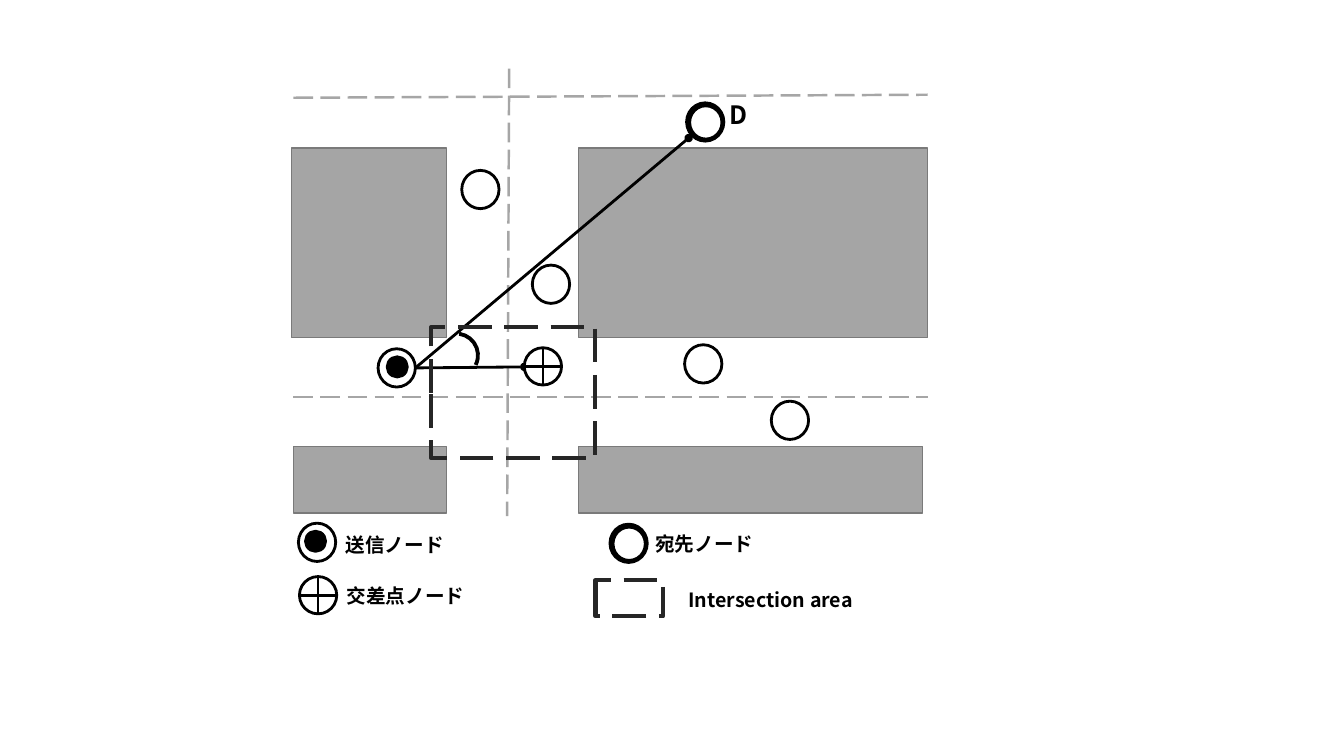
from lxml import etree
from pptx import Presentation
from pptx.dml.color import RGBColor
from pptx.enum.dml import MSO_LINE
from pptx.enum.shapes import MSO_CONNECTOR, MSO_SHAPE
from pptx.enum.text import MSO_AUTO_SIZE
from pptx.oxml.ns import qn
from pptx.util import Inches, Pt

RECT, OVAL = MSO_SHAPE.RECTANGLE, MSO_SHAPE.OVAL
CROSS, ARC = MSO_SHAPE.FLOWCHART_OR, MSO_SHAPE.ARC
STRAIGHT, LONG_DASH = MSO_CONNECTOR.STRAIGHT, MSO_LINE.LONG_DASH
FIT_TEXT = MSO_AUTO_SIZE.SHAPE_TO_FIT_TEXT
FONT = "Noto Sans CJK JP"
BLACK, WHITE = "000000", "FFFFFF"
NODE = 0.37

prs = Presentation()
prs.slide_width, prs.slide_height = Inches(13.33), Inches(7.5)
slide = prs.slides.add_slide(prs.slide_layouts[6])


def rgb(color):
    return RGBColor.from_string(color)


def draw(kind, x, y, w, h, fill=WHITE, line=BLACK, weight=2):
    shape = slide.shapes.add_shape(kind, Inches(x), Inches(y), Inches(w), Inches(h))
    shape.shadow.inherit = False
    if fill:
        shape.fill.solid()
        shape.fill.fore_color.rgb = rgb(fill)
    else:
        shape.fill.background()
    shape.line.color.rgb = rgb(line)
    shape.line.width = Pt(weight)
    return shape


# City blocks
for x, y, w, h in [(5.74, 1.47, 3.46, 1.88), (2.89, 1.47, 1.54, 1.88),
                   (5.74, 4.43, 3.41, 0.66), (2.91, 4.43, 1.52, 0.66)]:
    draw(RECT, x, y, w, h, "A5A5A5", "7A7A7A", 1)

# Dashed road centre lines, then bearings from the sender with a dot at the far end
roads = [(2.91, 3.94, 9.2, 3.94), (2.91, 0.97, 9.2, 0.94), (5.05, 0.68, 5.03, 5.12)]
bearings = [(4.12, 3.65, 6.83, 1.37), (4.12, 3.65, 5.2, 3.64)]
for ends in roads + bearings:
    connector = slide.shapes.add_connector(STRAIGHT, *[Inches(v) for v in ends])
    is_road = ends in roads
    connector.line.color.rgb = rgb("A6A6A6" if is_road else BLACK)
    connector.line.width = Pt(1.75 if is_road else 2)
    if is_road:
        connector.line.dash_style = LONG_DASH
    else:
        etree.SubElement(connector.line._get_or_add_ln(), qn("a:tailEnd"), type="oval")
    etree.SubElement(connector._element.spPr, qn("a:effectLst"))

# Intersection nodes: on the map and in the legend
for x, y in [(5.2, 3.45), (2.97, 5.72)]:
    draw(CROSS, x, y, NODE, NODE)

# Sender nodes, with the left edge of the inner dot
for x, y, dot_x in [(3.75, 3.46, 3.84), (2.96, 5.19, 3.03)]:
    draw(OVAL, x, y, NODE, 0.38)
    draw(OVAL, dot_x, y + 0.08, 0.2, 0.2, BLACK)

# Destination nodes
for x, y in [(6.81, 1.02), (6.05, 5.2)]:
    draw(OVAL, x, y, NODE, 0.38, BLACK)
    draw(OVAL, x + 0.03, y + 0.03, 0.32, 0.33)

# Ordinary nodes
for x, y in [(4.58, 1.69), (5.28, 2.63), (6.79, 3.42), (7.65, 3.98)]:
    draw(OVAL, x, y, NODE, 0.38)

# Intersection area: on the map and in the legend
for x, y, w, h in [(4.44, 3.08, 1.3, 1.63), (6.06, 5.6, 0.36, 0.67)]:
    area = draw(RECT, x, y, w, h, None, "262626", 3)
    area.rotation = 90
    area.line.dash_style = LONG_DASH

# Angle between the two bearings
angle = draw(ARC, 4.31, 3.31, 0.43, 0.43, None, BLACK, 2.75)
angle.rotation = 69.7
angle.adjustments[0] = 124.79
angle.adjustments[1] = 190.07

# Labels
for text, x, y, w, h, size in [("D", 7.14, 0.94, 0.52, 0.56, 18),
                               ("送信ノード", 3.33, 5.24, 2.18, 0.34, 14),
                               ("交差点ノード", 3.34, 5.74, 3.4, 0.34, 14),
                               ("宛先ノード", 6.4, 5.23, 1.94, 0.34, 14),
                               ("Intersection area", 6.73, 5.78, 2.34, 0.34, 14)]:
    label = slide.shapes.add_textbox(Inches(x), Inches(y), Inches(w), Inches(h))
    frame = label.text_frame
    frame.word_wrap = True
    frame.auto_size = FIT_TEXT
    frame.text = text
    run = frame.paragraphs[0].runs[0]
    run.font.size, run.font.bold, run.font.name = Pt(size), True, FONT
    run.font.color.rgb = rgb(BLACK)
    etree.SubElement(run.font._element, qn("a:ea"), typeface=FONT)

prs.save("out.pptx")
